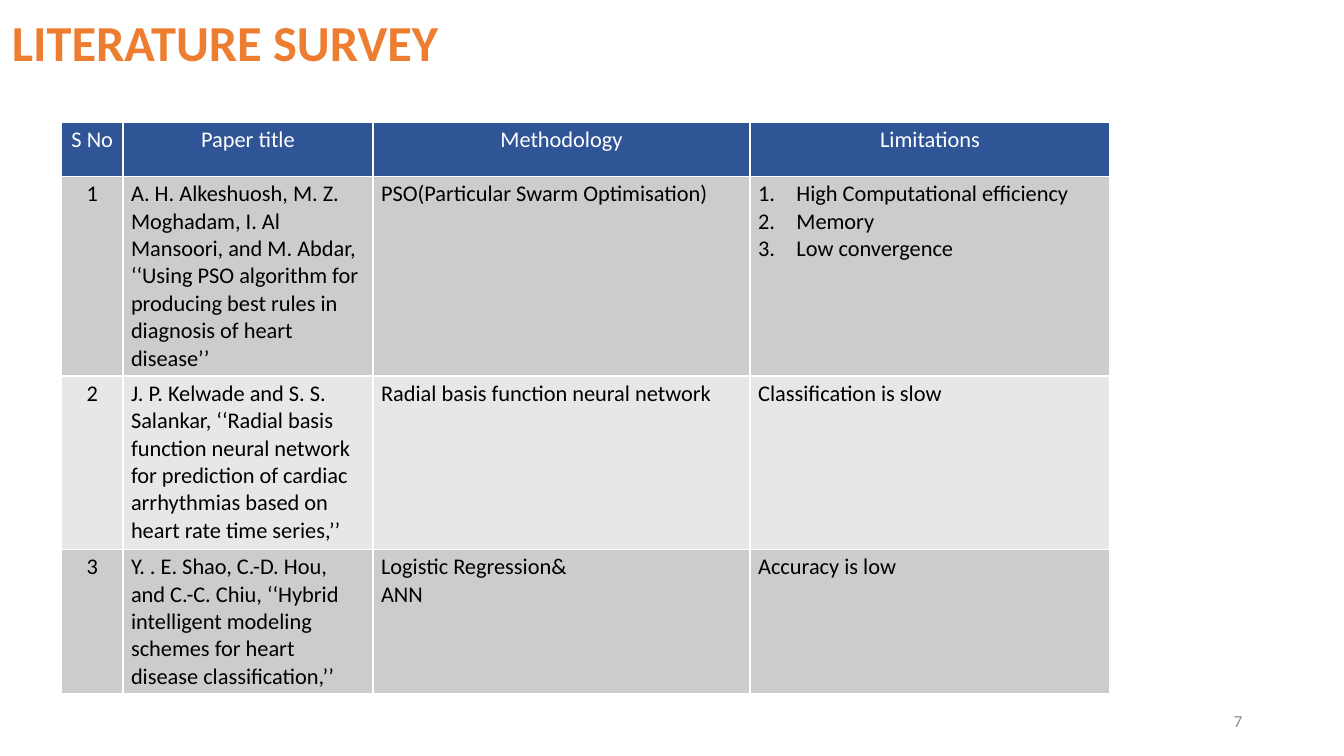
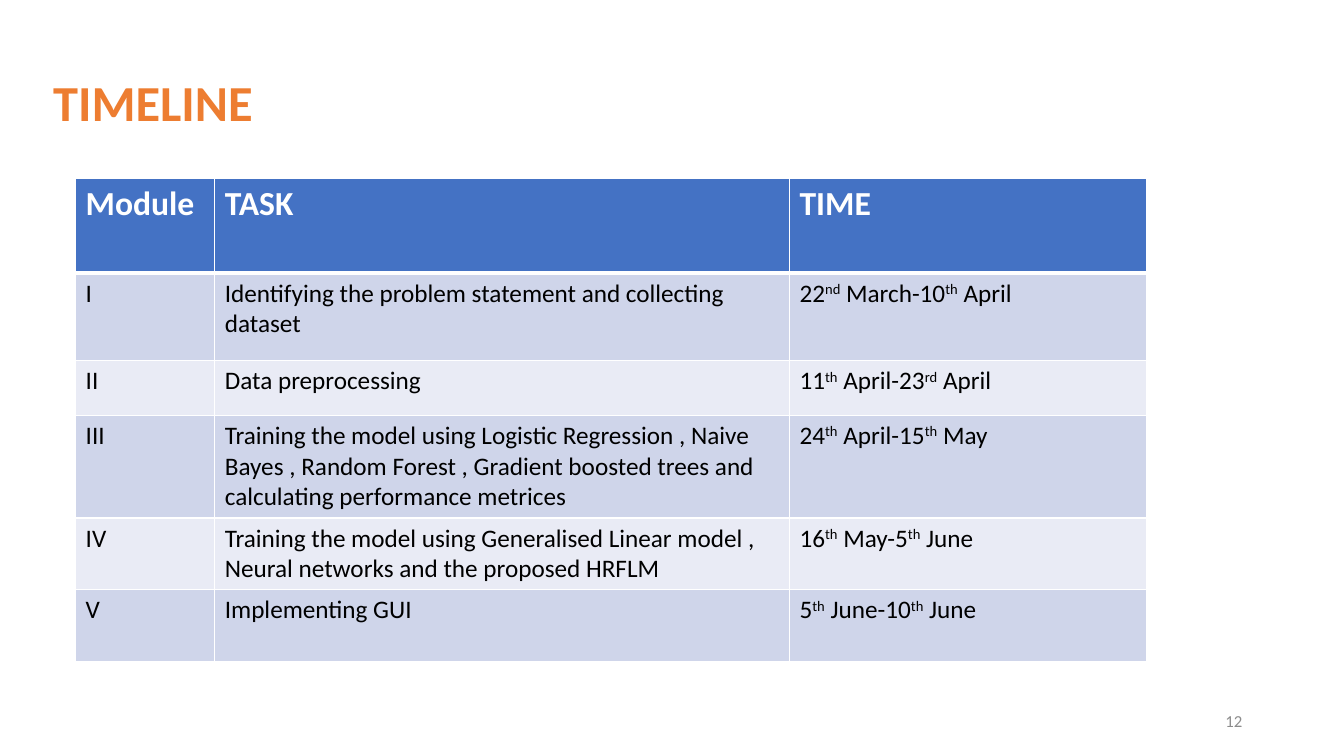
from lxml.etree import SubElement
from pptx import Presentation
from pptx.dml.color import RGBColor
from pptx.enum.text import MSO_ANCHOR as Anchor, PP_ALIGN as Align
from pptx.oxml.ns import qn
from pptx.util import Inches, Pt

FONT = "Calibri"
WHITE = RGBColor(0xFF, 0xFF, 0xFF)
BLACK = RGBColor(0, 0, 0)
ORANGE = RGBColor(0xED, 0x7D, 0x31)
GREY = RGBColor(0x8C, 0x8C, 0x8C)
NAVY = RGBColor(0x2F, 0x55, 0x97)
BLUE = RGBColor(0x44, 0x72, 0xC4)
GREY_BANDS = RGBColor(0xCC, 0xCC, 0xCC), RGBColor(0xE7, 0xE7, 0xE7)
BLUE_BANDS = RGBColor(0xCF, 0xD5, 0xEA), RGBColor(0xE9, 0xEB, 0xF5)

TITLE_STYLE = {"size": Pt(36), "bold": True, "color": ORANGE}
NUMBER_STYLE = {"size": Pt(12), "color": GREY}
NUMBER_BOX = (9.42, 6.95, 3, 0.4)

# Text between ^ marks is superscript; a list is one paragraph per item,
# and a tuple is a numbered list.
SLIDES = [
    {
        "title": "LITERATURE SURVEY",
        "title_box": (0.02, 0, 11.5, 0.89),
        "number": "7",
        "origin": (0.61, 1.21),
        "columns": [0.61, 2.48, 3.74, 3.57],
        "heights": [0.54, 1.98, 1.72, 1.43],
        "padding": 0.08,
        "header_fill": NAVY,
        "bands": GREY_BANDS,
        "header_style": {"size": Pt(16), "bold": False, "color": WHITE},
        "body_style": {"size": Pt(16), "bold": False, "color": BLACK},
        "header_align": Align.CENTER,
        "first_column_align": Align.CENTER,
        "header_rule": 1,
        "rows": [
            ["S No", "Paper title", "Methodology", "Limitations"],
            ["1",
             "A. H. Alkeshuosh, M. Z. Moghadam, I. Al Mansoori, and M. Abdar, "
             "‘‘Using PSO algorithm for producing best rules in diagnosis of "
             "heart disease’’",
             "PSO(Particular Swarm Optimisation)",
             ("High Computational efficiency", "Memory", "Low convergence")],
            ["2",
             "J. P. Kelwade and S. S. Salankar, ‘‘Radial basis function neural "
             "network for prediction of cardiac arrhythmias based on heart rate "
             "time series,’’",
             "Radial basis function neural network",
             "Classification is slow"],
            ["3",
             "Y. . E. Shao, C.-D. Hou, and C.-C. Chiu, ‘‘Hybrid intelligent "
             "modeling schemes for heart disease classification,’’",
             ["Logistic Regression&", "ANN"],
             "Accuracy is low"],
        ],
    },
    {
        "title": "TIMELINE",
        "title_box": (0.43, 0.32, 11.5, 1.45),
        "number": "12",
        "origin": (0.75, 1.77),
        "columns": [1.38, 5.7, 3.54],
        "heights": [0.94, 0.87, 0.54, 1.02, 0.71, 0.71],
        "padding": 0.1,
        "header_fill": BLUE,
        "bands": BLUE_BANDS,
        "header_style": {"size": Pt(24), "bold": True, "color": WHITE},
        "body_style": {"size": Pt(18), "bold": False, "color": BLACK},
        "header_align": Align.LEFT,
        "first_column_align": Align.LEFT,
        "header_rule": 3,
        "rows": [
            ["Module", "TASK", "TIME"],
            ["I", "Identifying the problem statement and collecting dataset",
             "22^nd^ March-10^th^ April"],
            ["II", "Data preprocessing", "11^th^ April-23^rd^ April"],
            ["III",
             "Training the model using Logistic Regression , Naive Bayes , "
             "Random Forest , Gradient boosted trees and calculating "
             "performance metrices",
             "24^th^ April-15^th^ May"],
            ["IV",
             "Training the model using Generalised Linear model , Neural "
             "networks and the proposed HRFLM",
             "16^th^ May-5^th^ June"],
            ["V", "Implementing GUI", "5^th^ June-10^th^ June"],
        ],
    },
]


def write_paragraph(paragraph, text, style, align):
    paragraph.alignment = align
    for index, part in enumerate(text.split("^")):
        run = paragraph.add_run()
        run.text = part
        run.font.name = FONT
        for name, value in style.items():
            if name == "color":
                run.font.color.rgb = value
            else:
                setattr(run.font, name, value)
        if index % 2:
            run.font._element.set("baseline", "30000")


def number_paragraph(paragraph):
    properties = paragraph._p.get_or_add_pPr()
    indent = Inches(0.38)
    properties.set("marL", str(indent))
    properties.set("indent", str(-indent))
    SubElement(properties, qn("a:buFont"), typeface="+mj-lt")
    SubElement(properties, qn("a:buAutoNum"), type="arabicPeriod")


def add_label(slide, box, text, style, align=Align.LEFT, line_spacing=1.0):
    shape = slide.shapes.add_textbox(*map(Inches, box))
    frame = shape.text_frame
    frame.word_wrap = True
    frame.vertical_anchor = Anchor.MIDDLE
    paragraph = frame.paragraphs[0]
    paragraph.line_spacing = line_spacing
    write_paragraph(paragraph, text, style, align)


def set_borders(cell, top, bottom):
    """Draw white cell borders; call before the fill, which must follow them."""
    properties = cell._tc.get_or_add_tcPr()
    for side, width in {"L": 1, "R": 1, "T": top, "B": bottom}.items():
        line = SubElement(properties, qn(f"a:ln{side}"), w=str(Pt(width)))
        fill = SubElement(line, qn("a:solidFill"))
        SubElement(fill, qn("a:srgbClr"), val=str(WHITE))


def fill_cell(cell, content, style, align, padding):
    cell.margin_left = cell.margin_right = Inches(padding)
    cell.margin_top = cell.margin_bottom = Inches(padding / 2)
    frame = cell.text_frame
    lines = [content] if isinstance(content, str) else content
    for index, text in enumerate(lines):
        paragraph = frame.add_paragraph() if index else frame.paragraphs[0]
        write_paragraph(paragraph, text, style, align)
        if isinstance(content, tuple):
            number_paragraph(paragraph)


def add_data_table(slide, data):
    columns, heights, rows = data["columns"], data["heights"], data["rows"]
    box = (*data["origin"], sum(columns), sum(heights))
    table = slide.shapes.add_table(
        len(rows), len(columns), *map(Inches, box)).table
    for column, width in zip(table.columns, columns):
        column.width = Inches(width)
    for row, height in zip(table.rows, heights):
        row.height = Inches(height)
    for r, contents in enumerate(rows):
        header = r == 0
        style = data["header_style" if header else "body_style"]
        color = data["header_fill"] if header else data["bands"][(r - 1) % 2]
        top = data["header_rule"] if r == 1 else 1
        bottom = data["header_rule"] if header else 1
        for c, content in enumerate(contents):
            align = Align.LEFT
            if header:
                align = data["header_align"]
            elif c == 0:
                align = data["first_column_align"]
            cell = table.cell(r, c)
            set_borders(cell, top, bottom)
            cell.fill.solid()
            cell.fill.fore_color.rgb = color
            fill_cell(cell, content, style, align, data["padding"])


def main():
    presentation = Presentation()
    presentation.slide_width = Inches(13.33)
    presentation.slide_height = Inches(7.5)
    for data in SLIDES:
        slide = presentation.slides.add_slide(presentation.slide_layouts[6])
        add_label(slide, data["title_box"], data["title"], TITLE_STYLE,
                  line_spacing=0.9)
        add_data_table(slide, data)
        add_label(slide, NUMBER_BOX, data["number"], NUMBER_STYLE, Align.RIGHT)
    presentation.save("out.pptx")


if __name__ == "__main__":
    main()
